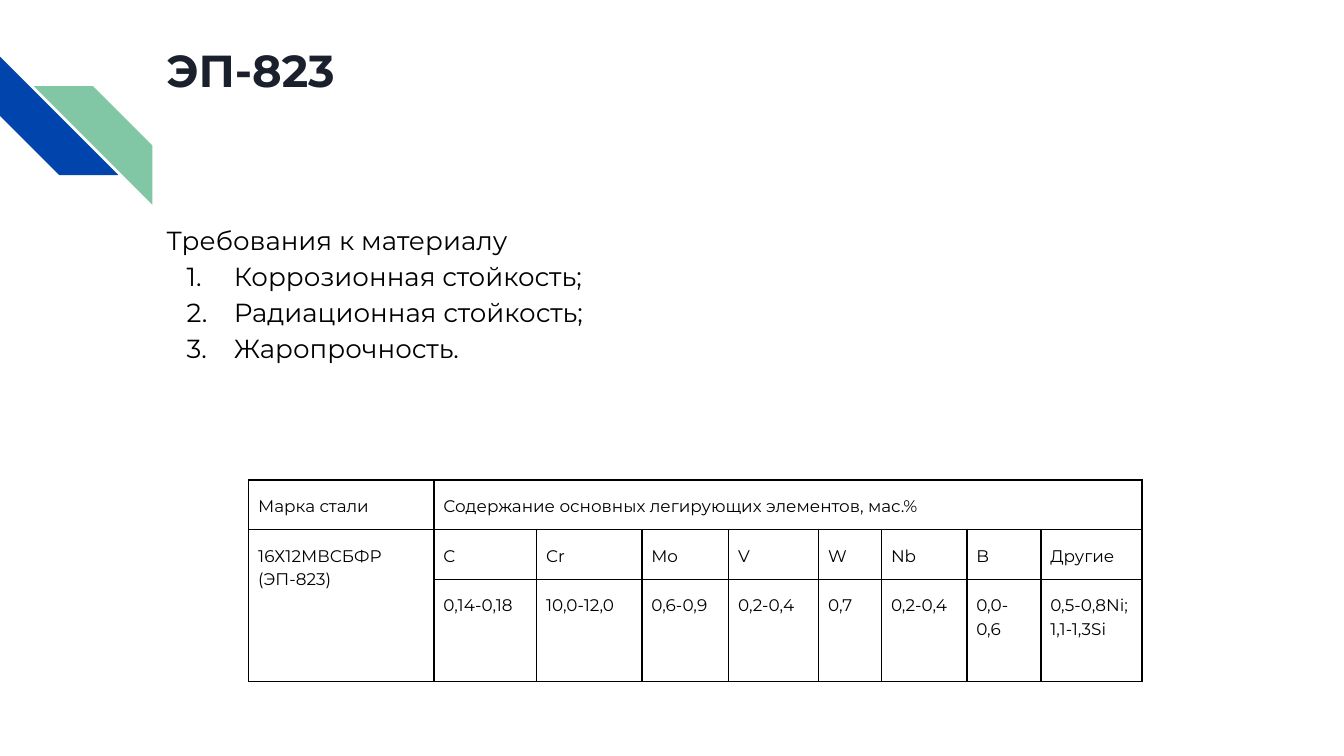
from dataclasses import dataclass

from lxml.etree import SubElement
from pptx import Presentation
from pptx.dml.color import RGBColor
from pptx.enum.shapes import MSO_SHAPE as Shape
from pptx.oxml.ns import qn
from pptx.util import Cm, Pt


@dataclass(frozen=True)
class Theme:
    font: str = "Montserrat"
    blue: str = "0145AC"
    green: str = "82C7A5"
    title: str = "1B212C"
    text: str = "000000"
    title_size: float = 24
    body_size: float = 14
    table_size: float = 9
    spacing: float = 1.15
    border: float = 1


@dataclass(frozen=True)
class Stripe:
    left: float
    top: float
    color: str
    rotation: float = 0
    flipped: bool = False


@dataclass(frozen=True)
class Element:
    symbol: str
    content: str
    width: float


THEME = Theme()
STRIPE_SIZE = 2.24
STRIPES = [
    Stripe(0, 1.07, THEME.blue, rotation=270),
    Stripe(0.64, 1.63, THEME.green, flipped=True),
]
REQUIREMENTS = ["Коррозионная стойкость;", "Радиационная стойкость;", "Жаропрочность."]
GRADE_WIDTH = 3.5
ROW_HEIGHTS = [0.51, 0.51, 1.93]
ELEMENTS = [
    Element("C", "0,14-0,18", 1.94),
    Element("Cr", "10,0-12,0", 1.99),
    Element("Mo", "0,6-0,9", 1.64),
    Element("V", "0,2-0,4", 1.7),
    Element("W", "0,7", 1.19),
    Element("Nb", "0,2-0,4", 1.61),
    Element("B", "0,0-0,6", 1.4),
    Element("Другие", "0,5-0,8Ni; 1,1-1,3Si", 1.91),
]


def style(p, size: float, color: str, bold: bool = False) -> None:
    for r in p.runs:
        r.font.name = THEME.font
        r.font.size = Pt(size)
        r.font.bold = bold
        r.font.color.rgb = RGBColor.from_string(color)


def add_stripe(slide, stripe: Stripe) -> None:
    sp = slide.shapes.add_shape(Shape.DIAGONAL_STRIPE, Cm(stripe.left), Cm(stripe.top),
                                Cm(STRIPE_SIZE), Cm(STRIPE_SIZE))
    sp.adjustments[0] = 0.5
    sp.rotation = stripe.rotation
    if stripe.flipped:
        sp._element.spPr.find(qn("a:xfrm")).set("flipH", "1")
    sp.shadow.inherit = False
    sp.fill.solid()
    sp.fill.fore_color.rgb = RGBColor.from_string(stripe.color)
    sp.line.fill.background()


def add_text(slide, left: float, top: float, width: float, height: float, text: str):
    tf = slide.shapes.add_textbox(Cm(left), Cm(top), Cm(width), Cm(height)).text_frame
    tf.word_wrap = True
    tf.margin_left = tf.margin_right = tf.margin_top = tf.margin_bottom = Cm(0.25)
    tf.text = text
    return tf


def number(p) -> None:
    pPr = p._p.get_or_add_pPr()
    pPr.set("marL", str(Cm(1.27)))
    pPr.set("indent", str(Cm(-0.89)))
    color = SubElement(pPr, qn("a:buClr"))
    SubElement(color, qn("a:srgbClr"), val=THEME.text)
    SubElement(pPr, qn("a:buFont"), typeface=THEME.font)
    SubElement(pPr, qn("a:buAutoNum"), type="arabicPeriod")


def set_borders(cell) -> None:
    tcPr = cell._tc.get_or_add_tcPr()
    for i, side in enumerate(("a:lnL", "a:lnR", "a:lnT", "a:lnB")):
        ln = tcPr.makeelement(qn(side), {"w": str(Pt(THEME.border))})
        fill = SubElement(ln, qn("a:solidFill"))
        SubElement(fill, qn("a:srgbClr"), val=THEME.text)
        tcPr.insert(i, ln)


def set_cell(cell, text: str) -> None:
    cell.margin_left = cell.margin_right = Cm(0.18)
    cell.margin_top = cell.margin_bottom = Cm(0.25)
    cell.text_frame.text = text
    for p in cell.text_frame.paragraphs:
        p.line_spacing = THEME.spacing
        style(p, THEME.table_size, THEME.text)


def add_composition(slide, left: float, top: float) -> None:
    widths = [GRADE_WIDTH] + [e.width for e in ELEMENTS]
    table = slide.shapes.add_table(len(ROW_HEIGHTS), len(widths), Cm(left), Cm(top),
                                   Cm(sum(widths)), Cm(sum(ROW_HEIGHTS))).table
    table.first_row = table.horz_banding = False
    for column, width in zip(table.columns, widths):
        column.width = Cm(width)
    for row, height in zip(table.rows, ROW_HEIGHTS):
        row.height = Cm(height)
    for cell in table.iter_cells():
        cell.fill.background()
        set_borders(cell)

    # Merged headings
    table.cell(0, 1).merge(table.cell(0, len(ELEMENTS)))
    table.cell(1, 0).merge(table.cell(2, 0))
    set_cell(table.cell(0, 0), "Марка стали")
    set_cell(table.cell(0, 1), "Содержание основных легирующих элементов, мас.%")
    set_cell(table.cell(1, 0), "16Х12МВСБФР\n(ЭП-823)")

    # Alloying elements
    for col, element in enumerate(ELEMENTS, start=1):
        set_cell(table.cell(1, col), element.symbol)
        set_cell(table.cell(2, col), element.content)


def main() -> None:
    prs = Presentation()
    prs.slide_width, prs.slide_height = Cm(25.4), Cm(14.29)
    slide = prs.slides.add_slide(prs.slide_layouts[6])

    # Corner decoration
    for stripe in STRIPES:
        add_stripe(slide, stripe)

    # Title
    tf = add_text(slide, 2.9, 0.56, 12.34, 1.7, "ЭП-823")
    style(tf.paragraphs[0], THEME.title_size, THEME.title, bold=True)

    # Requirements
    tf = add_text(slide, 2.9, 3.91, 19.63, 10.38,
                  "\n".join(["Требования к материалу"] + REQUIREMENTS))
    for i, p in enumerate(tf.paragraphs):
        p.line_spacing = THEME.spacing
        if i > 0:
            number(p)
        style(p, THEME.body_size, THEME.text)

    # Composition table
    add_composition(slide, 4.7, 9.07)
    prs.save("out.pptx")


if __name__ == "__main__":
    main()
